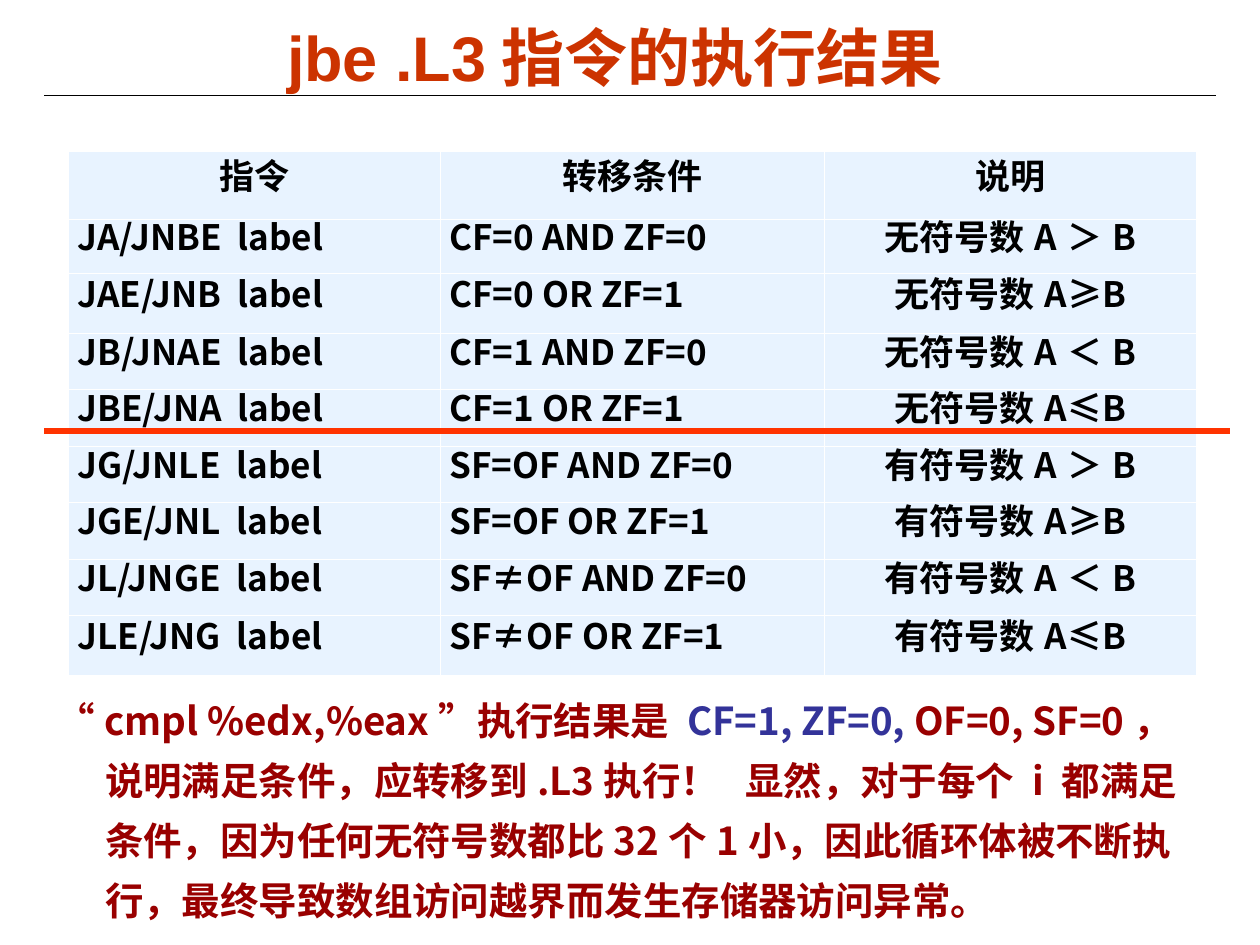
from lxml.etree import SubElement
from pptx import Presentation
from pptx.dml.color import RGBColor
from pptx.enum.shapes import MSO_CONNECTOR, MSO_SHAPE
from pptx.enum.text import MSO_ANCHOR, PP_ALIGN
from pptx.oxml import parse_xml
from pptx.oxml.ns import nsdecls, qn
from pptx.util import Cm, Pt

COLORS = {
    "title": "CC3300",
    "text": "000000",
    "cell": "E8F3FF",
    "white": "FFFFFF",
    "divider": "FF3300",
    "note": "990000",
    "flags": "333399",
}
CJK_FONT = "Noto Sans CJK SC"


def set_font(paragraph, size, color, name=CJK_FONT):
    font = paragraph.font
    font.name = name
    font.size = Pt(size)
    font.bold = True
    font.color.rgb = RGBColor.from_string(COLORS[color])
    latin = font._element.find(qn("a:latin"))
    latin.addnext(parse_xml(f'<a:ea {nsdecls("a")} typeface="{CJK_FONT}"/>'))


def add_rule(left, right, top, color, width):
    """Draw a horizontal line; lengths in cm, width in points."""
    rule = slide.shapes.add_connector(
        MSO_CONNECTOR.STRAIGHT, Cm(left), Cm(top), Cm(right), Cm(top))
    rule.line.color.rgb = RGBColor.from_string(COLORS[color])
    rule.line.width = Pt(width)
    SubElement(rule._element.spPr, qn("a:effectLst"))


presentation = Presentation()
presentation.slide_width = Cm(25.4)
presentation.slide_height = Cm(19.05)
slide = presentation.slides.add_slide(presentation.slide_layouts[6])

# Title
add_rule(0.89, 24.51, 1.93, "text", 0.75)
title = slide.shapes.add_textbox(Cm(4.57), Cm(0.41), Cm(15.65), Cm(1.47))
frame = title.text_frame
frame.word_wrap = True
frame.vertical_anchor = MSO_ANCHOR.MIDDLE
paragraph = frame.paragraphs[0]
paragraph.text = "jbe .L3指令的执行结果"
paragraph.alignment = PP_ALIGN.CENTER
set_font(paragraph, 36, "title", "Arial")

# Table of conditional jumps
jump_rows = [
    ("指令", "转移条件", "说明"),
    ("JA/JNBE  label", "CF=0 AND ZF=0", "无符号数A＞B"),
    ("JAE/JNB  label", "CF=0 OR ZF=1", "无符号数A≥B"),
    ("JB/JNAE  label", "CF=1 AND ZF=0", "无符号数A＜B"),
    ("JBE/JNA  label", "CF=1 OR ZF=1", "无符号数A≤B"),
    ("JG/JNLE  label", "SF=OF AND ZF=0", "有符号数A＞B"),
    ("JGE/JNL  label", "SF=OF OR ZF=1", "有符号数A≥B"),
    ("JL/JNGE  label", "SF≠OF AND ZF=0", "有符号数A＜B"),
    ("JLE/JNG  label", "SF≠OF OR ZF=1", "有符号数A≤B"),
]
column_widths = [7.5, 7.74, 7.5]
row_heights = [1.36, 1.09, 1.2] + [1.14] * 5 + [1.2]
table = slide.shapes.add_table(
    len(jump_rows), len(column_widths), Cm(1.38), Cm(3.06),
    Cm(sum(column_widths)), Cm(sum(row_heights))).table
table.first_row = False
table.horz_banding = False
for column, width in zip(table.columns, column_widths):
    column.width = Cm(width)
for row, height in zip(table.rows, row_heights):
    row.height = Cm(height)

for row_index, texts in enumerate(jump_rows):
    for column_index, text in enumerate(texts):
        cell = table.cell(row_index, column_index)
        cell.vertical_anchor = MSO_ANCHOR.MIDDLE
        cell.margin_left = cell.margin_right = Cm(0.18)
        cell.margin_top = cell.margin_bottom = Cm(0.13)
        cell.fill.solid()
        cell.fill.fore_color.rgb = RGBColor.from_string(COLORS["cell"])
        properties = cell._tc.get_or_add_tcPr()
        for position, side in enumerate("LRTB"):
            properties.insert(position, parse_xml(
                f'<a:ln{side} {nsdecls("a")} w="{Pt(0.45)}"><a:solidFill>'
                f'<a:srgbClr val="{COLORS["white"]}"/></a:solidFill></a:ln{side}>'))
        paragraph = cell.text_frame.paragraphs[0]
        paragraph.text = text
        centered = row_index == 0 or column_index == 2
        paragraph.alignment = PP_ALIGN.CENTER if centered else PP_ALIGN.JUSTIFY
        paragraph.line_spacing = Pt(16)
        set_font(paragraph, 20, "text")

# Divider between unsigned and signed jumps
add_rule(0.89, 24.79, 8.69, "divider", 3)

# Explanation
note = slide.shapes.add_shape(
    MSO_SHAPE.RECTANGLE, Cm(0.97), Cm(13.69), Cm(23.47), Cm(4.98))
note.shadow.inherit = False
note.fill.solid()
note.fill.fore_color.rgb = RGBColor.from_string(COLORS["white"])
note.line.fill.background()
frame = note.text_frame
frame.word_wrap = True
frame.vertical_anchor = MSO_ANCHOR.TOP
frame.margin_left = frame.margin_right = Cm(0.18)
frame.margin_top = frame.margin_bottom = Cm(0.08)
paragraph = frame.paragraphs[0]
paragraph.alignment = PP_ALIGN.LEFT
paragraph.line_spacing = 1.3
indent = Cm(0.97)
paragraph._p.get_or_add_pPr().set("marL", str(indent))
paragraph._p.get_or_add_pPr().set("indent", str(-indent))
set_font(paragraph, 22, "note")
for text, color in [
    ("“cmpl %edx,%eax”执行结果是 ", "note"),
    ("CF=1, ZF=0, ", "flags"),
    ("OF=0, SF=0，说明满足条件，应转移到.L3执行！   显然，对于每个 i 都满足条件，"
     "因为任何无符号数都比32个1小，因此循环体被不断执行，"
     "最终导致数组访问越界而发生存储器访问异常。", "note"),
]:
    run = paragraph.add_run()
    run.text = text
    run.font.color.rgb = RGBColor.from_string(COLORS[color])

presentation.save("out.pptx")
